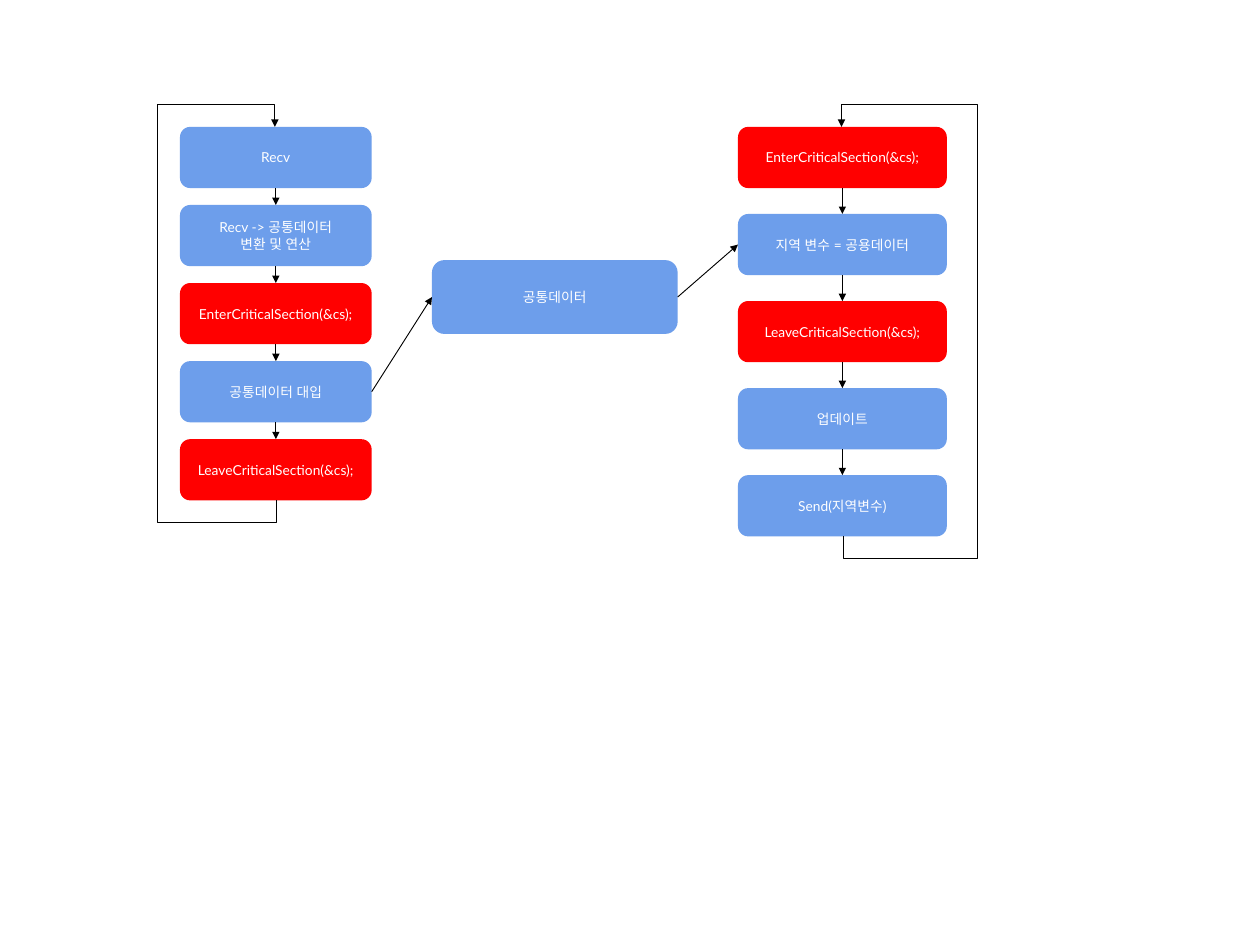
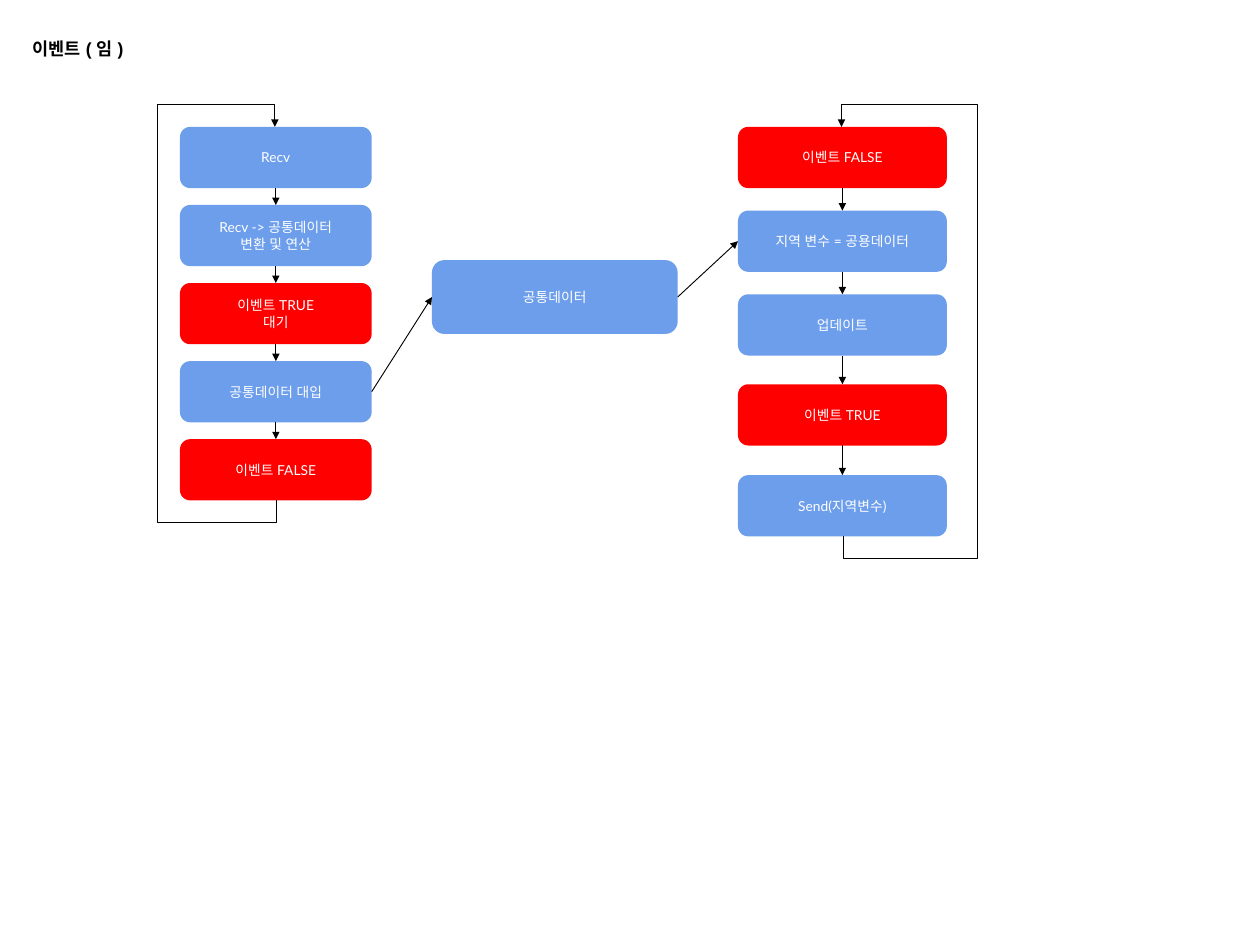
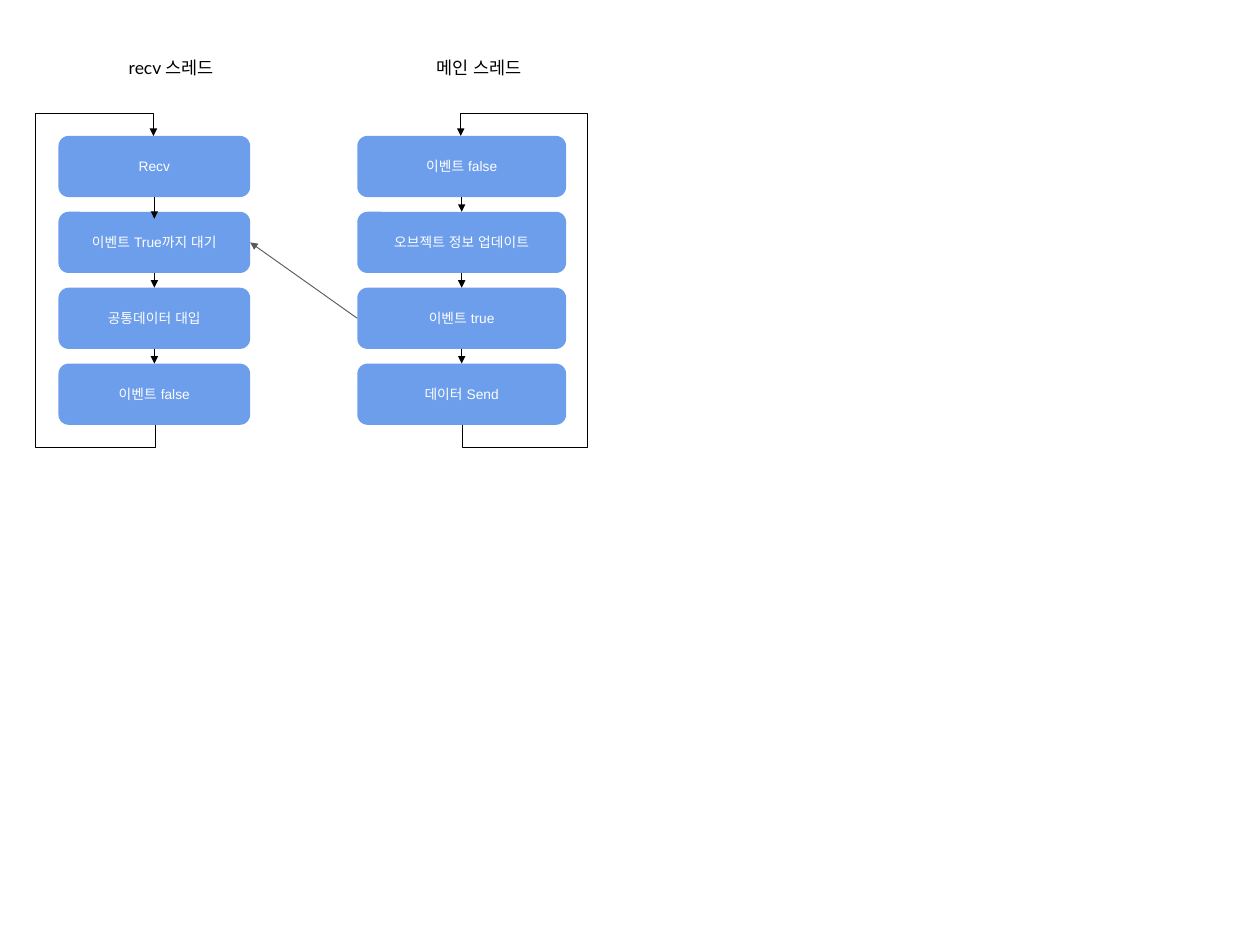
from lxml.etree import SubElement
from pptx import Presentation
from pptx.dml.color import RGBColor
from pptx.enum.shapes import MSO_CONNECTOR, MSO_SHAPE
from pptx.enum.text import MSO_ANCHOR, MSO_AUTO_SIZE, PP_ALIGN
from pptx.oxml.ns import qn
from pptx.util import Inches, Pt

COLORS = {
    "step": "6D9EEB",
    "lock": "FF0000",
    "light": "FFFFFF",
    "dark": "000000",
    "signal": "595959",
}
TOP, LEFT, BOTTOM, RIGHT = range(4)
BOX_HEIGHT = 0.68
LOOP_MARGIN = 0.25
LOOP_SHIFT = 0.02  # sideways distance between the two ends of a loop arrow


def write_text(shape, text, size=11, font="Lato", color="light", bold=False,
               align=PP_ALIGN.CENTER, anchor=MSO_ANCHOR.MIDDLE, inset=(0.14, 0.14)):
    frame = shape.text_frame
    frame.word_wrap = True
    frame.auto_size = MSO_AUTO_SIZE.NONE
    frame.vertical_anchor = anchor
    frame.margin_left = frame.margin_right = Inches(inset[0])
    frame.margin_top = frame.margin_bottom = Inches(inset[1])
    frame.text = text
    for paragraph in frame.paragraphs:
        paragraph.alignment = align
        for run in paragraph.runs:
            run.font.size = Pt(size)
            run.font.bold = bold
            run.font.name = font
            run.font.color.rgb = RGBColor.from_string(COLORS[color])
            for script in ("a:ea", "a:cs"):
                SubElement(run._r.get_or_add_rPr(), qn(script)).set("typeface", font)


def add_arrow(slide, start, start_side, end, end_side, color="dark",
              kind=MSO_CONNECTOR.STRAIGHT, end_point=None):
    arrow = slide.shapes.add_connector(kind, 0, 0, 0, 0)
    arrow.begin_connect(start, start_side)
    if end_point:
        arrow.end_x, arrow.end_y = end_point
    else:
        arrow.end_connect(end, end_side)
    arrow.line.color.rgb = RGBColor.from_string(COLORS[color])
    arrow.line.width = Pt(0.75)
    SubElement(arrow.line._get_or_add_ln(), qn("a:tailEnd")).set("type", "triangle")
    SubElement(arrow._element.spPr, qn("a:effectLst"))
    return arrow


# Rows shared by the slides
recv_tops = [1.41 + 3.47 * row / 4 for row in range(5)]
main_tops = [1.41 + 3.87 * row / 4 for row in range(5)]
thread_tops = [1.51 + 2.53 * row / 3 for row in range(4)]

# Each column: left, width, x of the loop's outer side, tops, (text, colour) of each box
SLIDES = [
    {
        "font": "Lato",
        "shared_data": True,
        "columns": [
            (2, 2.13, 1.75, recv_tops, [
                ("Recv", "step"),
                ("Recv -> 공통데이터\n변환 및 연산", "step"),
                ("EnterCriticalSection(&cs);", "lock"),
                ("공통데이터 대입", "step"),
                ("LeaveCriticalSection(&cs);", "lock"),
            ]),
            (8.2, 2.32, 10.86, main_tops, [
                ("EnterCriticalSection(&cs);", "lock"),
                ("지역 변수 = 공용데이터", "step"),
                ("LeaveCriticalSection(&cs);", "lock"),
                ("업데이트", "step"),
                ("Send(지역변수)", "step"),
            ]),
        ],
    },
    {
        "title": "이벤트 ( 임 )",
        "font": "Lato",
        "shared_data": True,
        "columns": [
            (2, 2.13, 1.75, recv_tops, [
                ("Recv", "step"),
                ("Recv -> 공통데이터\n변환 및 연산", "step"),
                ("이벤트 TRUE\n대기", "lock"),
                ("공통데이터 대입", "step"),
                ("이벤트 FALSE", "lock"),
            ]),
            (8.2, 2.32, 10.86, [1.41, 2.34, 3.27, 4.27, 5.28], [
                ("이벤트 FALSE", "lock"),
                ("지역 변수 = 공용데이터", "step"),
                ("업데이트", "step"),
                ("이벤트 TRUE", "lock"),
                ("Send(지역변수)", "step"),
            ]),
        ],
    },
    {
        "font": "Arial",
        "shared_data": False,
        "headings": [(0.94, "recv 스레드"), (4.36, "메인 스레드")],
        "columns": [
            (0.65, 2.13, 0.4, thread_tops, [
                ("Recv", "step"),
                ("이벤트 True까지 대기", "step"),
                ("공통데이터 대입", "step"),
                ("이벤트 false", "step"),
            ]),
            (3.97, 2.32, 6.52, thread_tops, [
                ("이벤트 false", "step"),
                ("오브젝트 정보 업데이트", "step"),
                ("이벤트 true", "step"),
                ("데이터 Send", "step"),
            ]),
        ],
    },
]

presentation = Presentation()
presentation.slide_width = Inches(14)
presentation.slide_height = Inches(10.5)
title_layout = presentation.slide_layouts[5]
blank_layout = presentation.slide_layouts[6]

for content in SLIDES:
    slide = presentation.slides.add_slide(title_layout if "title" in content else blank_layout)

    # Title and column headings
    if "title" in content:
        title = slide.shapes.title
        title.left, title.top = Inches(0.26), Inches(0.37)
        title.width, title.height = Inches(2.27), Inches(0.34)
        write_text(title, content["title"], size=14, font="Arial", color="dark", bold=True,
                   align=PP_ALIGN.LEFT, anchor=MSO_ANCHOR.TOP, inset=(0.1, 0.05))
    for left, text in content.get("headings", []):
        heading = slide.shapes.add_textbox(Inches(left), Inches(0.53), Inches(1.93), Inches(0.45))
        write_text(heading, text, size=14, color="dark", anchor=MSO_ANCHOR.TOP, inset=(0.1, 0.1))

    # Boxes: the two columns, then the shared data between them
    box_places = [
        (left, top, width, BOX_HEIGHT, text, color)
        for left, width, side, tops, labels in content["columns"]
        for top, (text, color) in zip(tops, labels)
    ]
    if content["shared_data"]:
        box_places.append((4.8, 2.89, 2.73, 0.82, "공통데이터", "step"))
    boxes = []
    for left, top, width, height, text, color in box_places:
        box = slide.shapes.add_shape(MSO_SHAPE.ROUNDED_RECTANGLE, Inches(left), Inches(top),
                                     Inches(width), Inches(height))
        box.shadow.inherit = False
        box.fill.solid()
        box.fill.fore_color.rgb = RGBColor.from_string(COLORS[color])
        box.line.fill.background()
        write_text(box, text, font=content["font"])
        boxes.append(box)
    count = len(content["columns"][0][4])
    recv_boxes, main_boxes = boxes[:count], boxes[count:2 * count]

    # Arrows down each column and the loop back to its first box
    for column, (left, width, side, tops, labels) in zip((recv_boxes, main_boxes),
                                                         content["columns"]):
        center = left + width / 2
        for upper, lower in zip(column, column[1:]):
            end_point = None
            if not content["shared_data"] and upper is recv_boxes[0]:
                end_point = Inches(center), Inches(2.43)  # reaches into the waiting box
            add_arrow(slide, upper, BOTTOM, lower, TOP, end_point=end_point)

        loop = add_arrow(slide, column[-1], BOTTOM, column[0], TOP, kind=MSO_CONNECTOR.ELBOW)
        length = tops[-1] + BOX_HEIGHT - tops[0]
        middle = tops[0] + length / 2
        loop.left, loop.top = Inches(center - length / 2), Inches(middle - LOOP_SHIFT / 2)
        loop.width, loop.height = Inches(length), Inches(LOOP_SHIFT)
        transform = loop._element.spPr.find(qn("a:xfrm"))
        for name, value in (("rot", "5400000"), ("flipH", "1"), ("flipV", "0")):
            transform.set(name, value)
        geometry = loop._element.spPr.find(qn("a:prstGeom"))
        geometry.set("prst", "bentConnector5")
        guides = geometry.find(qn("a:avLst"))
        bends = (-LOOP_MARGIN / length,
                 (center + LOOP_SHIFT / 2 - side) / LOOP_SHIFT,
                 1 + LOOP_MARGIN / length)
        for number, bend in enumerate(bends, start=1):
            guide = SubElement(guides, qn("a:gd"))
            guide.set("name", f"adj{number}")
            guide.set("fmla", f"val {round(bend * 100000)}")

    # Arrows between the columns
    if content["shared_data"]:
        add_arrow(slide, recv_boxes[3], RIGHT, boxes[-1], LEFT)
        add_arrow(slide, boxes[-1], RIGHT, main_boxes[1], LEFT)
    else:
        add_arrow(slide, main_boxes[2], LEFT, recv_boxes[1], RIGHT, color="signal")

presentation.save("out.pptx")
